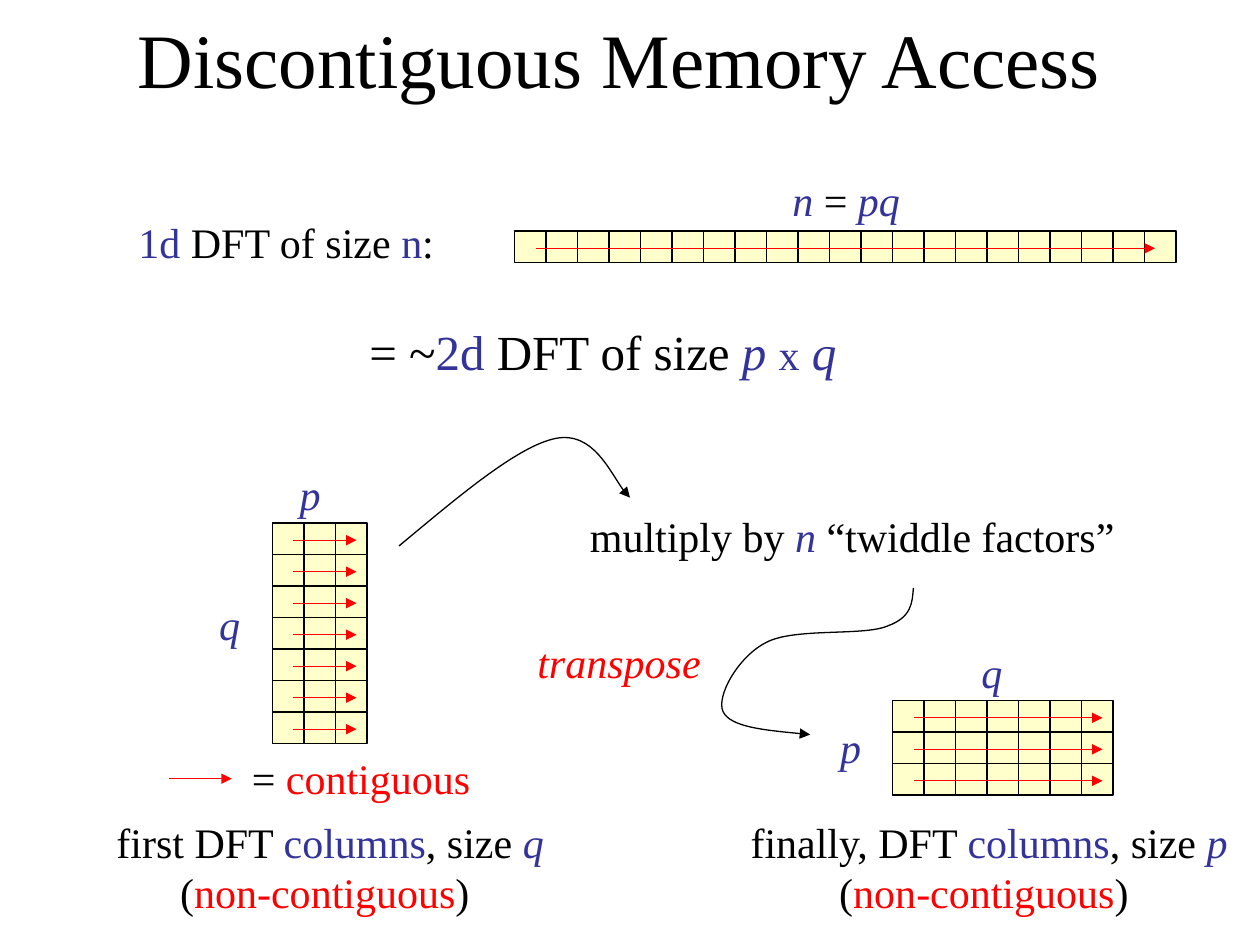
from lxml.etree import SubElement as Sub
from pptx import Presentation
from pptx.dml.color import RGBColor as RGB
from pptx.enum.shapes import MSO_CONNECTOR as Link, MSO_SHAPE as Form
from pptx.enum.text import MSO_ANCHOR as Anchor, MSO_AUTO_SIZE as Fit, PP_ALIGN as Align
from pptx.oxml.ns import qn
from pptx.util import Inches, Pt

THEME = {
    "font": "Times New Roman",
    "ink": "000000", "blue": "333399", "red": "FF0000", "cell": "FFFFCC",
    "title": 44, "lead": 28, "body": 24, "line": 0.75,
}
WIDE, HIGH = 10, 7.5
COLS = 120
CELL = 3

TITLE = [[("Discontiguous Memory Access", "ink")]]
P = [[("p", "blue", "i")]]
Q = [[("q", "blue", "i")]]
NOTE = [("(", "ink"), ("non-contiguous", "red"), (") ", "ink")]


def step(verb, size):
    return [[(verb + " DFT ", "ink"), ("columns", "blue"),
             (", size ", "ink"), (size, "blue", "i")], NOTE]


LABELS = [
    ((12, 20, 30.6, 6), [[("1d", "blue"), (" DFT of size ", "ink"),
                          ("n", "blue"), (":", "ink")]], {}),
    ((74.28, 16, 12.72, 6), [[("n", "blue", "i"), (" = ", "ink"),
                              ("pq", "blue", "i")]], {}),
    ((34, 30, 47.04, 6.84), [[("= ~", "ink"), ("2d", "blue"),
                              (" DFT of size ", "ink"), ("p ", "blue", "i"),
                              ("x", "blue", "", "body"), (" ", "blue"),
                              ("q", "blue", "i")]], {"size": "lead"}),
    ((9.84, 77.16, 43.2, 10.8), step("first", "q"), {"align": Align.CENTER}),
    ((55, 48, 52.44, 6), [[("multiply by ", "ink"), ("n", "blue", "i"),
                           (" “twiddle factors”", "ink")]], {}),
    ((92.28, 61, 4.44, 6), Q, {}),
    ((78.84, 68.16, 4.44, 6), P, {}),
    ((50, 60, 18, 6), [[("transpose", "red", "i")]], {}),
    ((70.08, 77.16, 48.24, 10.8), step("finally,", "p"), {"align": Align.CENTER}),
    ((27.36, 44, 4.44, 6), P, {}),
    ((19.68, 56.4, 4.44, 6), Q, {}),
    ((22.8, 71.04, 23.28, 6), [[("= ", "ink"), ("contiguous", "red")]], {}),
]
ARRAYS = [
    {"left": 49, "top": 22, "cols": 21, "rows": 1, "gap": 2},
    {"left": 85, "top": 66.72, "cols": 7, "rows": 3, "gap": 1},
    {"left": 25.95, "top": 49.8, "cols": 3, "rows": 7, "gap": 1},
]
KEY = (16.08, 74.16, 22.08)
CURVES = [
    [(38, 52), (43.68, 47.28), (49.32, 42.48), (52.92, 41.76),
     (56.52, 41.04), (58.8, 46.44), (60, 47.4)],
    [(87, 56), (86.88, 57.36), (86.88, 58.8), (84.48, 59.64),
     (82.2, 60.6), (75.6, 59.76), (72.96, 61.2),
     (70.32, 62.52), (68.16, 66.36), (68.88, 67.8),
     (69.6, 69.24), (73.32, 69.6), (77.16, 69.96)],
]


def grid(*nums):
    return [Inches(num * WIDE / COLS) for num in nums]


def hue(name):
    return RGB.from_string(THEME[name])


def say(slide, box, lines, size="body", align=Align.LEFT, wrap=False, anchor=Anchor.TOP):
    frame = slide.shapes.add_textbox(*grid(*box)).text_frame
    frame.word_wrap = wrap
    frame.auto_size = Fit.NONE if wrap else Fit.SHAPE_TO_FIT_TEXT
    frame.vertical_anchor = anchor
    for at, line in enumerate(lines):
        para = frame.add_paragraph() if at else frame.paragraphs[0]
        para.alignment = align
        for text, tint, *more in line:
            run = para.add_run()
            run.text = text
            font = run.font
            font.name = THEME["font"]
            font.size = Pt(THEME[more[1] if len(more) > 1 else size])
            font.italic = "i" in more
            font.color.rgb = hue(tint)


def stroke(shape, tint, head=False):
    shape.line.color.rgb = hue(tint)
    shape.line.width = Pt(THEME["line"])
    if head:
        Sub(shape.line._get_or_add_ln(), qn("a:tailEnd"), type="triangle")


def arrow(slide, left, top, right):
    line = slide.shapes.add_connector(Link.STRAIGHT, *grid(left, top, right, top))
    stroke(line, "red", head=True)
    Sub(line._element.spPr, qn("a:effectLst"))


def array(slide, left, top, cols, rows, gap):
    for row in range(rows):
        for col in range(cols):
            cell = slide.shapes.add_shape(Form.RECTANGLE, *grid(
                left + col * CELL, top + row * CELL, CELL, CELL))
            cell.shadow.inherit = False
            cell.fill.solid()
            cell.fill.fore_color.rgb = hue("cell")
            stroke(cell, "ink")
    for row in range(rows):
        arrow(slide, left + 2, top + (row + 0.55) * CELL, left + cols * CELL - gap)


def curve(slide, dots):
    start, *rest = [grid(*dot) for dot in dots]
    pen = slide.shapes.build_freeform(*start)
    pen.add_line_segments(rest, close=False)
    shape = pen.convert_to_shape()
    shape.shadow.inherit = False
    shape.fill.background()
    stroke(shape, "ink", head=True)
    track = shape._element.xpath(".//a:path")[0]
    links = track.findall(qn("a:lnTo"))
    for at in range(0, len(links), 3):
        bend = Sub(track, qn("a:cubicBezTo"))
        for link in links[at:at + 3]:
            bend.append(link[0])
            track.remove(link)


def main():
    deck = Presentation()
    deck.slide_width, deck.slide_height = Inches(WIDE), Inches(HIGH)
    slide = deck.slides.add_slide(deck.slide_layouts[6])
    say(slide, (8, 0, 102, 10.92), TITLE, size="title", align=Align.CENTER,
        wrap=True, anchor=Anchor.MIDDLE)
    for spot in ARRAYS:
        array(slide, **spot)
    arrow(slide, *KEY)
    for dots in CURVES:
        curve(slide, dots)
    for box, lines, form in LABELS:
        say(slide, box, lines, **form)
    deck.save("out.pptx")


if __name__ == "__main__":
    main()
